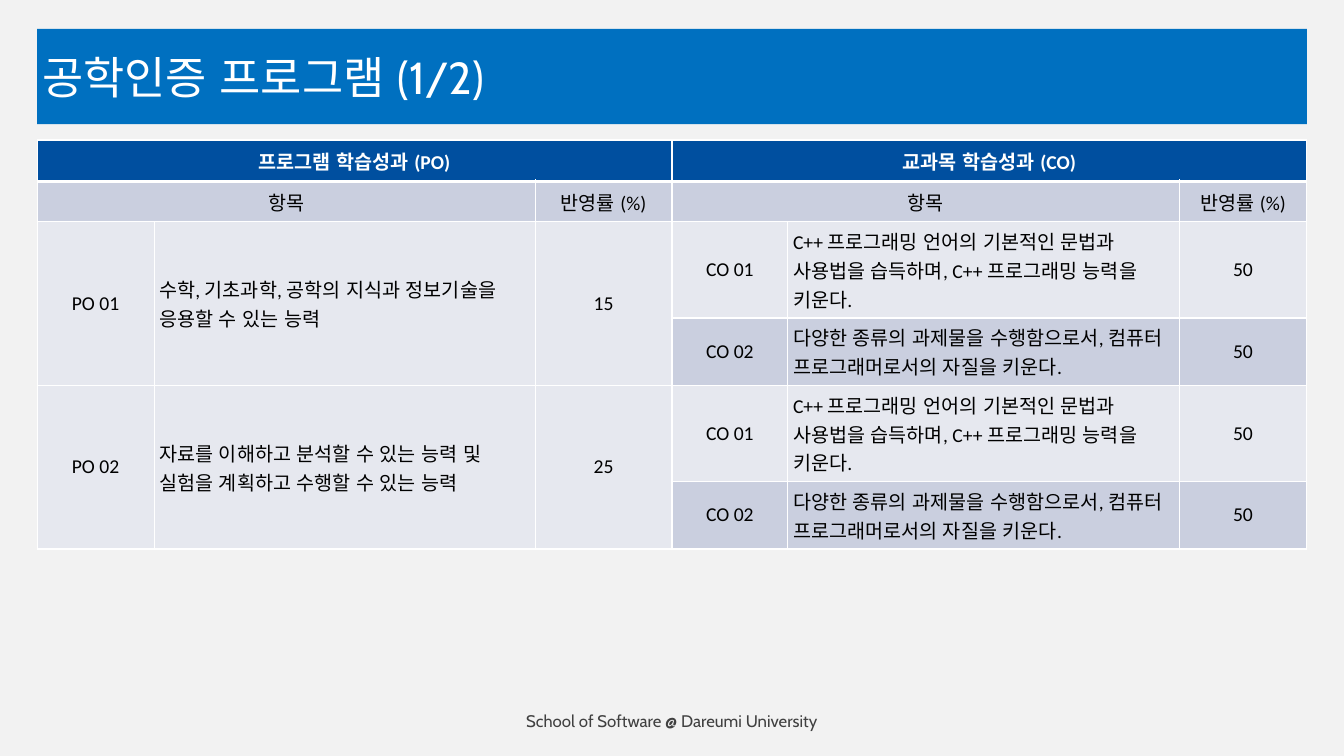
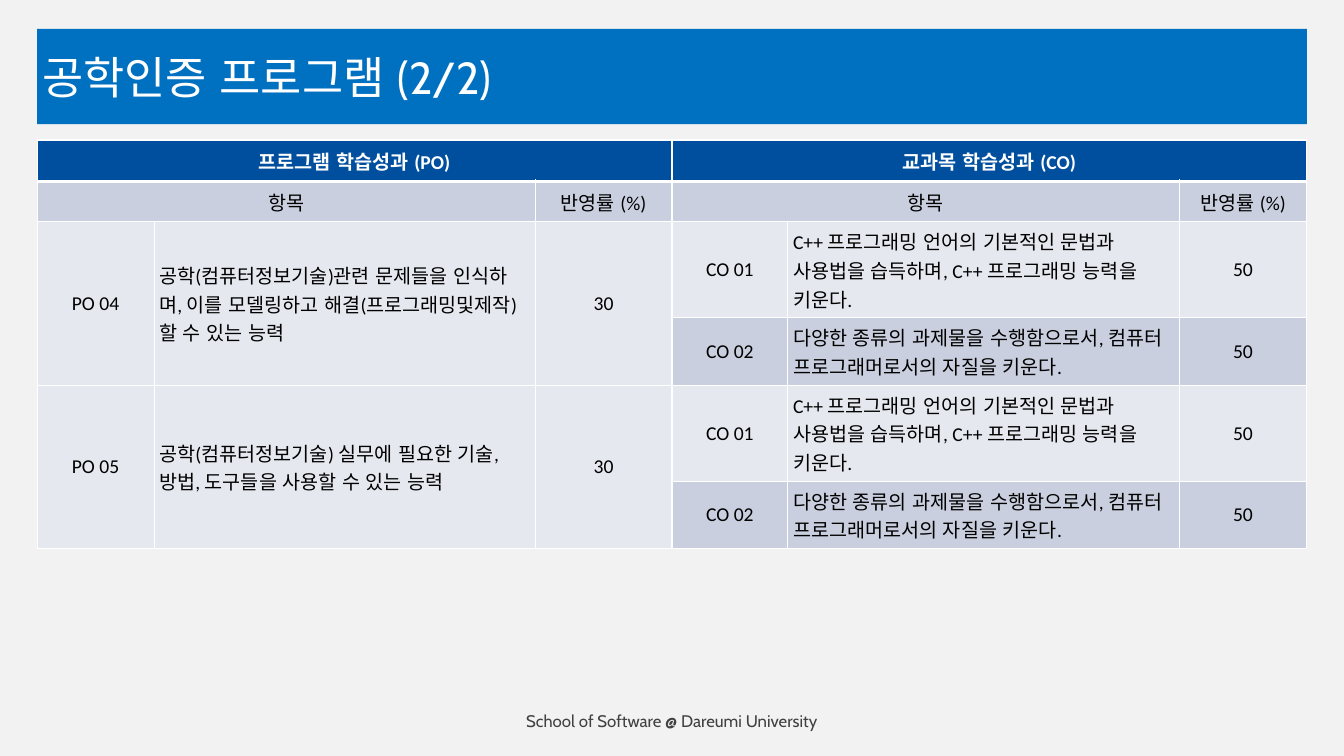
"""Build two slides that map programme outcomes (PO) to course outcomes (CO)."""
from dataclasses import dataclass
from itertools import chain

from lxml.etree import SubElement
from pptx import Presentation
from pptx.dml.color import RGBColor
from pptx.enum.lang import MSO_LANGUAGE_ID as Language
from pptx.enum.shapes import MSO_SHAPE as Shape
from pptx.enum.text import MSO_ANCHOR as Anchor, PP_ALIGN as Align
from pptx.oxml.ns import qn
from pptx.util import Cm, Pt

TITLE = "공학인증 프로그램"
FOOTER = "School of Software @ Dareumi University"
HEADINGS = [
    ["프로그램 학습성과 (PO)", None, None, "교과목 학습성과 (CO)", None, None],
    ["항목", None, "반영률 (%)", "항목", None, "반영률 (%)"],
]
HEADING_SPANS = [(0, 0, 0, 2), (0, 3, 0, 5), (1, 0, 1, 1), (1, 3, 1, 4)]
COURSE_OUTCOMES = [
    ["CO 01", "C++ 프로그래밍 언어의 기본적인 문법과 사용법을 습득하며, C++ 프로그래밍 능력을 키운다.", "50"],
    ["CO 02", "다양한 종류의 과제물을 수행함으로서, 컴퓨터 프로그래머로서의 자질을 키운다.", "50"],
]
PAGES = [
    [
        ["PO 01", "수학, 기초과학, 공학의 지식과 정보기술을 응용할 수 있는 능력", "15"],
        ["PO 02", "자료를 이해하고 분석할 수 있는 능력 및 실험을 계획하고 수행할 수 있는 능력", "25"],
    ],
    [
        ["PO 04", "공학(컴퓨터정보기술)관련 문제들을 인식하며, 이를 모델링하고 해결(프로그래밍및제작)할 수 있는 능력", "30"],
        ["PO 05", "공학(컴퓨터정보기술) 실무에 필요한 기술, 방법, 도구들을 사용할 수 있는 능력", "30"],
    ],
]
DESCRIPTION_COLUMNS = (1, 4)
COLUMN_WIDTHS = [2.95, 9.6, 3.45, 2.92, 9.86, 3.22]
HEADING_HEIGHTS = [1.04, 1.02]
OUTCOME_HEIGHTS = [2.42, 1.7]

SLIDE_WIDTH, SLIDE_HEIGHT = 33.87, 19.05
CONTENT_WIDTH = sum(COLUMN_WIDTHS)
MARGIN = (SLIDE_WIDTH - CONTENT_WIDTH) / 2
BAND_TOP, BAND_HEIGHT = 0.73, 2.4
TABLE_TOP = 3.53
FOOTER_TOP, FOOTER_WIDTH, FOOTER_HEIGHT = 17.75, 12.8, 0.81
INSET = Cm(0.13)


@dataclass(frozen=True)
class Theme:
    background: str = "F2F2F2"
    band: str = "0070C0"
    heading: str = "004F9F"
    dark_row: str = "CACFDF"
    light_row: str = "E6E8EF"
    white: str = "FFFFFF"
    black: str = "000000"
    grey: str = "404040"
    korean: str = "Noto Sans CJK KR"
    display: str = "Cabin"
    body: str = "Calibri"
    title_size: int = 32
    table_size: int = 14
    footer_size: int = 12
    border: int = 1
    heading_border: int = 3


THEME = Theme()


def assign(target, **values):
    for name, value in values.items():
        setattr(target, name, value)


def paint(fill, color):
    fill.solid()
    fill.fore_color.rgb = RGBColor.from_string(color)


def is_hangul(character):
    return "가" <= character <= "힣"


def split_scripts(text):
    pieces = []
    for character in text:
        hangul = is_hangul(character)
        if pieces and (character == " " or pieces[-1][0] == hangul):
            pieces[-1][1] += character
        else:
            pieces.append([hangul, character])
    return pieces


def write(frame, text, size, color, latin, align=Align.CENTER, bold=False):
    paragraph = frame.paragraphs[0]
    paragraph.alignment = align
    for hangul, piece in split_scripts(text):
        run = paragraph.add_run()
        run.text = piece
        assign(run.font, size=Pt(size), bold=bold, language_id=Language.KOREAN,
               name=THEME.korean if hangul else latin)
        run.font.color.rgb = RGBColor.from_string(color)
        SubElement(run.font._element, qn("a:ea"), typeface=THEME.korean)


def set_insets(target):
    for side in ("left", "top", "right", "bottom"):
        setattr(target, f"margin_{side}", INSET)


def set_frame(frame):
    assign(frame, word_wrap=True, vertical_anchor=Anchor.MIDDLE)
    set_insets(frame)


def set_borders(cell, top, bottom):
    properties = cell._tc.get_or_add_tcPr()
    widths = {"lnL": THEME.border, "lnR": THEME.border, "lnT": top, "lnB": bottom}
    for tag, width in widths.items():
        line = SubElement(properties, qn(f"a:{tag}"), w=str(Pt(width)))
        fill = SubElement(line, qn("a:solidFill"))
        SubElement(fill, qn("a:srgbClr"), val=THEME.white)


def add_title(slide, text):
    band = slide.shapes.add_shape(
        Shape.RECTANGLE, Cm(MARGIN), Cm(BAND_TOP), Cm(CONTENT_WIDTH), Cm(BAND_HEIGHT))
    band.shadow.inherit = False
    paint(band.fill, THEME.band)
    band.line.fill.background()
    set_frame(band.text_frame)
    write(band.text_frame, text, THEME.title_size, THEME.white, THEME.display, Align.LEFT)


def add_footer(slide):
    footer = slide.shapes.add_textbox(
        Cm((SLIDE_WIDTH - FOOTER_WIDTH) / 2), Cm(FOOTER_TOP), Cm(FOOTER_WIDTH), Cm(FOOTER_HEIGHT))
    set_frame(footer.text_frame)
    write(footer.text_frame, FOOTER, THEME.footer_size, THEME.grey, THEME.display)


def table_rows(outcomes):
    rows = list(HEADINGS)
    for outcome in outcomes:
        for index, course in enumerate(COURSE_OUTCOMES):
            rows.append((outcome if index == 0 else [None] * len(outcome)) + course)
    return rows


def table_spans(outcomes):
    depth = len(COURSE_OUTCOMES)
    tops = [len(HEADINGS) + index * depth for index in range(len(outcomes))]
    return HEADING_SPANS + [
        (top, column, top + depth - 1, column)
        for top in tops for column in range(len(outcomes[0]))]


def format_cell(cell, row, column, text):
    heading = row == 0
    set_insets(cell)
    cell.vertical_anchor = Anchor.MIDDLE
    set_borders(cell, THEME.heading_border if row == 1 else THEME.border,
                THEME.heading_border if heading else THEME.border)
    paint(cell.fill, THEME.heading if heading else THEME.dark_row if row % 2 else THEME.light_row)
    if text:
        described = row >= len(HEADINGS) and column in DESCRIPTION_COLUMNS
        write(cell.text_frame, text, THEME.table_size, THEME.white if heading else THEME.black,
              THEME.body, Align.LEFT if described else Align.CENTER, heading)


def add_outcome_table(slide, outcomes):
    rows = table_rows(outcomes)
    heights = list(chain(HEADING_HEIGHTS, OUTCOME_HEIGHTS * len(outcomes)))
    table = slide.shapes.add_table(
        len(rows), len(COLUMN_WIDTHS), Cm(MARGIN), Cm(TABLE_TOP),
        Cm(CONTENT_WIDTH), Cm(sum(heights))).table
    for column, width in zip(table.columns, COLUMN_WIDTHS):
        column.width = Cm(width)
    for row, height in zip(table.rows, heights):
        row.height = Cm(height)
    for top, left, bottom, right in table_spans(outcomes):
        table.cell(top, left).merge(table.cell(bottom, right))
    for row, texts in enumerate(rows):
        for column, text in enumerate(texts):
            format_cell(table.cell(row, column), row, column, text)


def main():
    presentation = Presentation()
    assign(presentation, slide_width=Cm(SLIDE_WIDTH), slide_height=Cm(SLIDE_HEIGHT))
    paint(presentation.slide_master.background.fill, THEME.background)
    for number, outcomes in enumerate(PAGES, 1):
        slide = presentation.slides.add_slide(presentation.slide_layouts[6])
        add_title(slide, f"{TITLE} ({number}/{len(PAGES)})")
        add_outcome_table(slide, outcomes)
        add_footer(slide)
    presentation.save("out.pptx")


if __name__ == "__main__":
    main()
